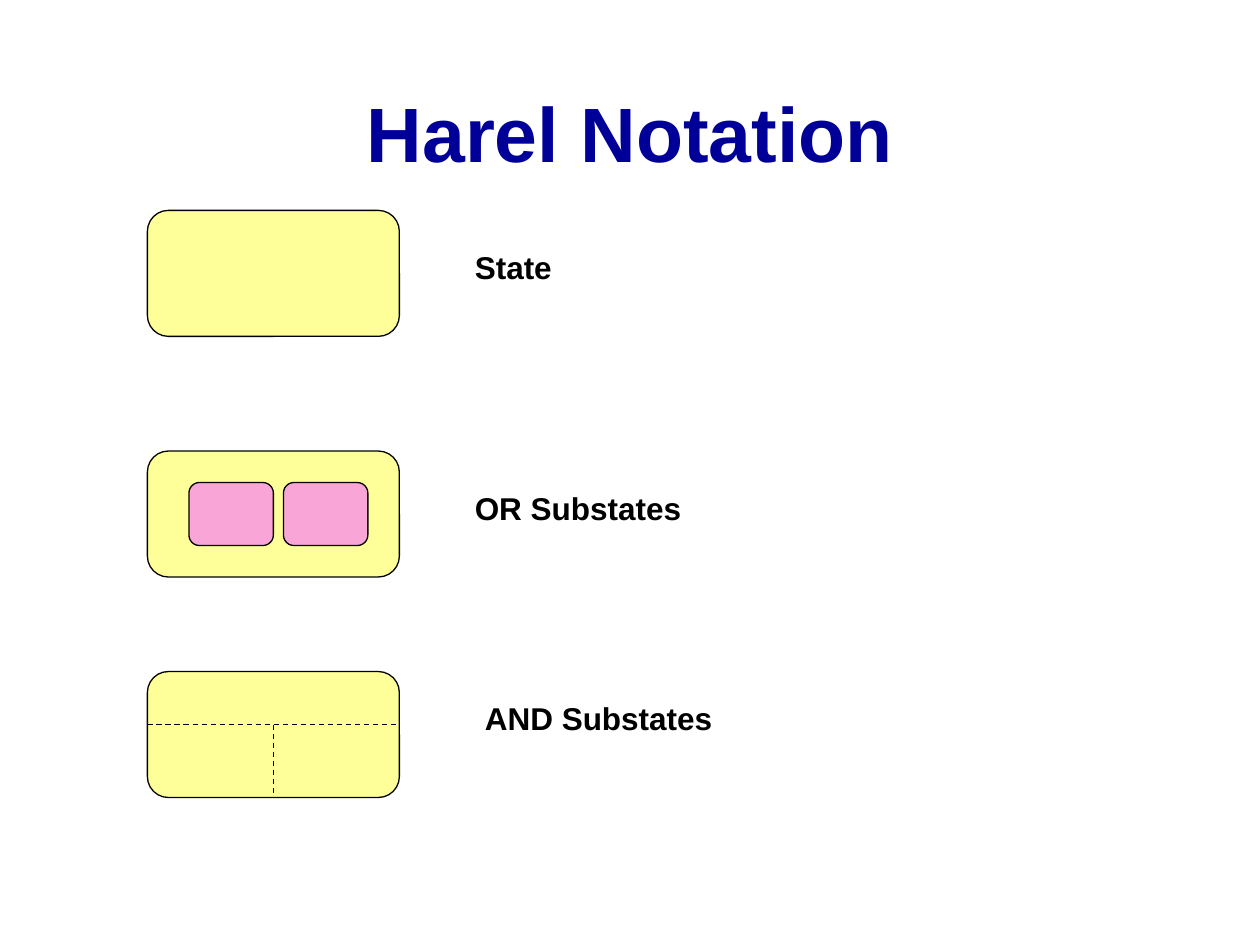
"""Build a slide that shows the Harel notation for states and substates."""
import pptx
import pptx.util
import pptx.dml.color
import pptx.enum.dml
import pptx.enum.shapes
import pptx.enum.text
import pptx.oxml.ns
import lxml.etree

Inches = pptx.util.Inches

THEME = {
    "font": "Arial", "title": "000099", "text": "000000", "line": "000000",
    "state": "FFFF99", "sub": "F9A5D7",
    "title_size": 44, "label_size": 18, "line_width": 0.75,
}
TITLE = "Harel Notation"
ROWS = [
    {"label": "State", "top": 1.67, "at": (3.67, 1.92), "wide": 1.83, "kind": "plain"},
    {"label": "OR Substates", "top": 3.58, "at": (3.67, 3.83), "wide": 2.17, "kind": "or"},
    {"label": "AND Substates", "top": 5.33, "at": (3.75, 5.5), "wide": 2.5, "kind": "and"},
]
LEFT, WIDE, HIGH = 1.17, 2, 1
SUB_LEFT, SUB_STEP, SUB_WIDE, SUB_HIGH = 1.5, 0.75, 0.67, 0.5
SPLIT = 0.42


def color(name):
    return pptx.dml.color.RGBColor.from_string(THEME[name])


def style(frame, size, tint):
    for run in frame.paragraphs[0].runs:
        run.font.name = THEME["font"]
        run.font.size = pptx.util.Pt(THEME[size])
        run.font.bold = True
        run.font.color.rgb = color(tint)


def outline(line):
    line.color.rgb = color("line")
    line.width = pptx.util.Pt(THEME["line_width"])


def add_state(slide, left, top, wide, high, fill):
    kind = pptx.enum.shapes.MSO_SHAPE.FLOWCHART_ALTERNATE_PROCESS
    state = slide.shapes.add_shape(kind, Inches(left), Inches(top), Inches(wide), Inches(high))
    state.shadow.inherit = False
    state.fill.solid()
    state.fill.fore_color.rgb = color(fill)
    outline(state.line)


def add_dash(slide, *ends):
    kind = pptx.enum.shapes.MSO_CONNECTOR.STRAIGHT
    dash = slide.shapes.add_connector(kind, *map(Inches, ends))
    outline(dash.line)
    dash.line.dash_style = pptx.enum.dml.MSO_LINE.DASH
    lxml.etree.SubElement(dash._element.spPr, pptx.oxml.ns.qn("a:effectLst"))


def add_label(slide, row):
    box = slide.shapes.add_textbox(*map(Inches, (*row["at"], row["wide"], 0.4)))
    frame = box.text_frame
    frame.word_wrap = True
    frame.text = row["label"]
    style(frame, "label_size", "text")


def add_title(slide):
    title = slide.shapes.title
    title.left, title.top, title.width, title.height = map(Inches, (0.33, 0.42, 9.34, 1.25))
    frame = title.text_frame
    frame.text = TITLE
    frame.vertical_anchor = pptx.enum.text.MSO_ANCHOR.MIDDLE
    frame.paragraphs[0].alignment = pptx.enum.text.PP_ALIGN.CENTER
    style(frame, "title_size", "title")


def add_row(slide, row):
    top = row["top"]
    add_state(slide, LEFT, top, WIDE, HIGH, "state")
    if row["kind"] == "or":
        for col in range(2):
            add_state(slide, SUB_LEFT + col * SUB_STEP, top + (HIGH - SUB_HIGH) / 2,
                      SUB_WIDE, SUB_HIGH, "sub")
    elif row["kind"] == "and":
        mid, split = LEFT + WIDE / 2, top + SPLIT
        add_dash(slide, LEFT, split, LEFT + WIDE, split)
        add_dash(slide, mid, split, mid, top + HIGH)
    add_label(slide, row)


def main():
    deck = pptx.Presentation()
    deck.slide_width, deck.slide_height = Inches(10), Inches(7.5)
    slide = deck.slides.add_slide(deck.slide_layouts[5])
    add_title(slide)
    for row in ROWS:
        add_row(slide, row)
    deck.save("out.pptx")


if __name__ == "__main__":
    main()
